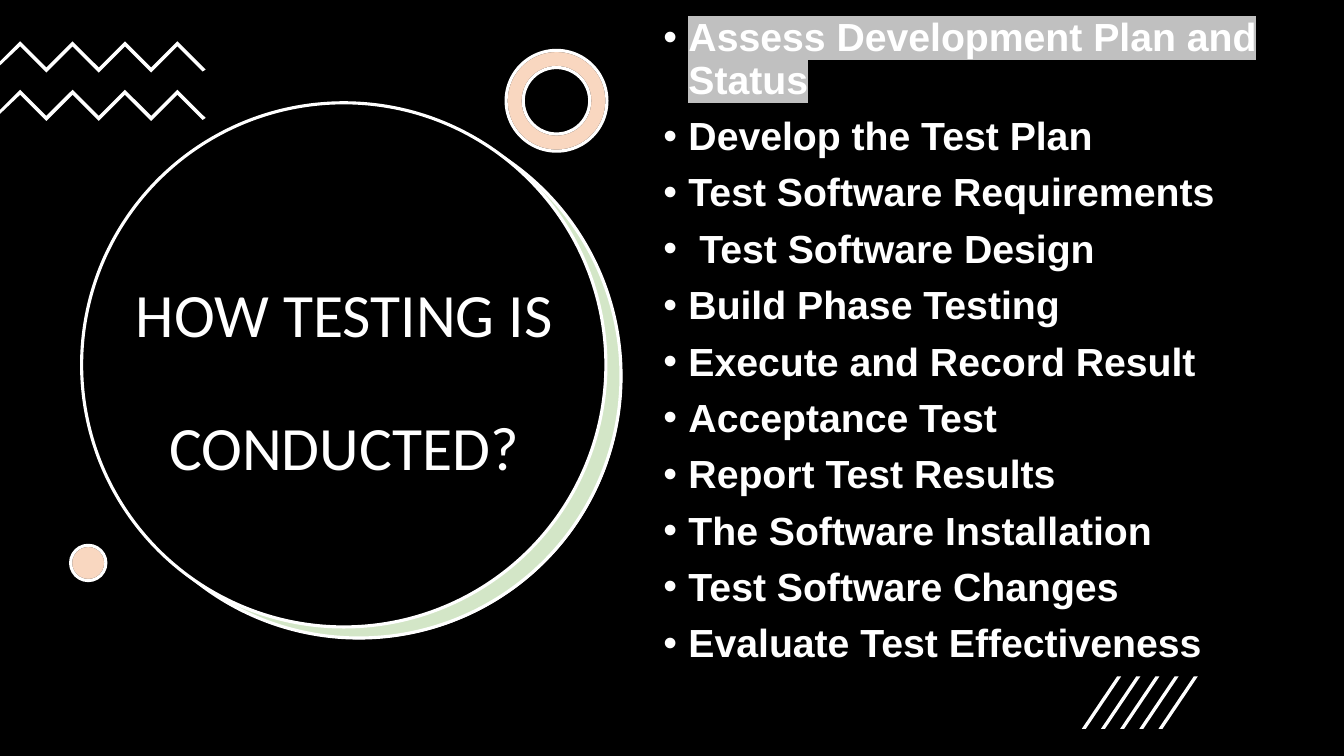
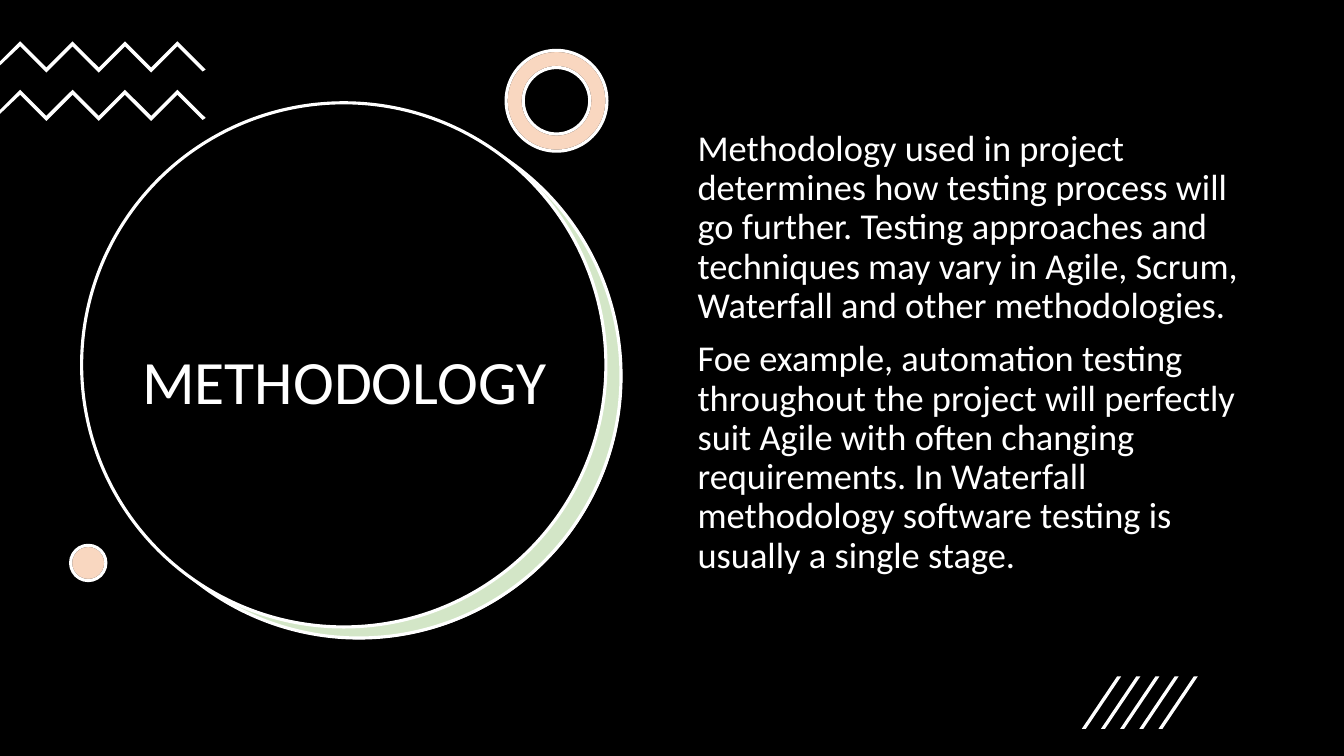
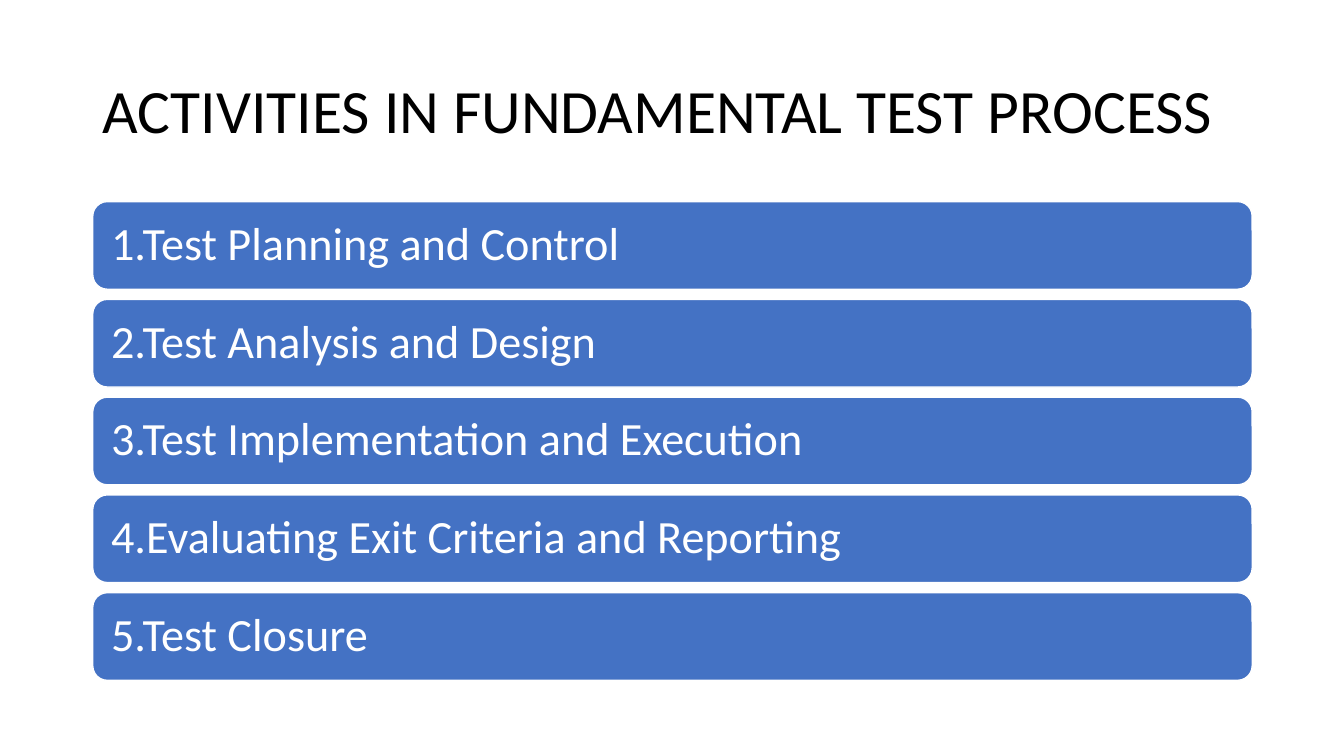
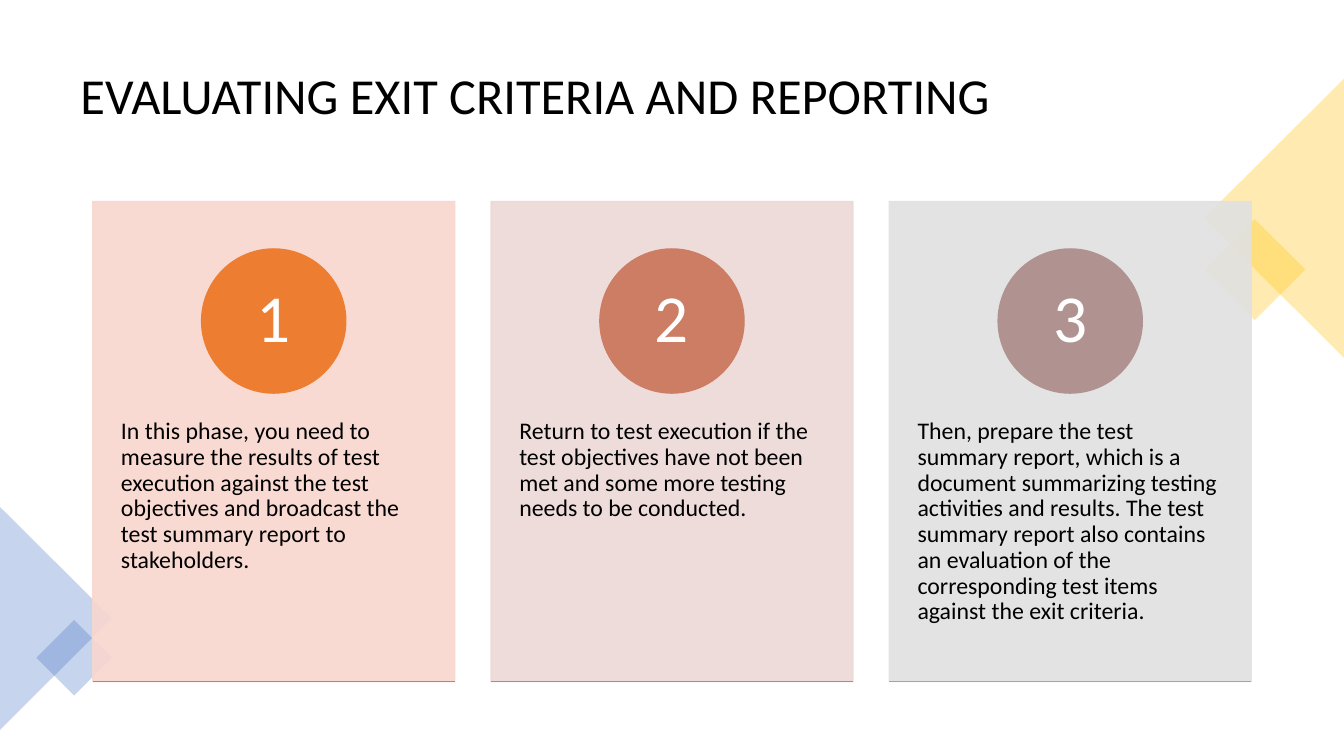
import dataclasses

import lxml.etree
import pptx
import pptx.dml.color
import pptx.enum.shapes
import pptx.enum.text
import pptx.oxml.ns
import pptx.util

Inches = pptx.util.Inches
Pt = pptx.util.Pt
qn = pptx.oxml.ns.qn
Shape = pptx.enum.shapes.MSO_SHAPE
Align = pptx.enum.text.PP_ALIGN
Anchor = pptx.enum.text.MSO_ANCHOR


@dataclasses.dataclass(frozen=True)
class Theme:
    # Colours
    black: str = "000000"
    white: str = "FFFFFF"
    blue: str = "4472C4"
    green: str = "70AD47"
    orange: str = "ED7D31"
    gold: str = "FFC000"
    mark: str = "C0C0C0"
    # Fonts and type sizes
    font: str = "Calibri"
    bold: str = "Arial"
    title: int = 44
    head: int = 36
    list: int = 28
    body: int = 26
    bar: int = 33
    card: int = 17
    count: int = 48
    # Line width and tint strength
    rim: float = 2.25
    tint: int = 30


T = Theme()

STEPS = [
    "Assess Development Plan and Status",
    "Develop the Test Plan",
    "Test Software Requirements",
    " Test Software Design",
    "Build Phase Testing",
    "Execute and Record Result",
    "Acceptance Test",
    "Report Test Results",
    "The Software Installation",
    "Test Software Changes",
    "Evaluate Test Effectiveness",
]

METHOD = [
    "Methodology used in project determines how testing process will go further. "
    "Testing approaches and techniques may vary in Agile, Scrum, Waterfall and "
    "other methodologies.",
    "Foe example, automation testing throughout the project will perfectly suit "
    "Agile with often changing requirements. In Waterfall methodology software "
    "testing is usually a single stage.",
]

BARS = [
    "1.Test Planning and Control",
    "2.Test Analysis and Design",
    "3.Test Implementation and Execution",
    "4.Evaluating Exit Criteria and Reporting",
    "5.Test Closure",
]

# Card fill, disc fill, base line, text
CARDS = [
    ("F8D7CE", "ED7D31", "DC7A4B",
     "In this phase, you need to measure the results of test execution against "
     "the test objectives and broadcast the test summary report to stakeholders."),
    ("EDD9D7", "CC7D64", "BD867B",
     "Return to test execution if the test objectives have not been met and "
     "some more testing needs to be conducted."),
    ("E1E1E1", "B09391", "A5A5A5",
     "Then, prepare the test summary report, which is a document summarizing "
     "testing activities and results. The test summary report also contains an "
     "evaluation of the corresponding test items against the exit criteria."),
]


# Colour and outline
def tone(code):
    return pptx.dml.color.RGBColor.from_string(code)


def fade(node, alpha):
    for color in node.iter(qn("a:srgbClr")):
        lxml.etree.SubElement(color, qn("a:alpha")).set("val", str(alpha * 1000))


def paint(shape, fill, line=None, width=1, alpha=100, edge=100):
    shape.shadow.inherit = False
    shape.fill.solid()
    shape.fill.fore_color.rgb = tone(fill)
    props = shape.element.spPr
    if alpha < 100:
        fade(props.find(qn("a:solidFill")), alpha)
    if line is None:
        shape.line.fill.background()
        return
    shape.line.color.rgb = tone(line)
    shape.line.width = Pt(width)
    if edge < 100:
        fade(props.find(qn("a:ln")), edge)


# Text
def bullet(para):
    props = para._p.get_or_add_pPr()
    props.set("marL", str(Inches(0.25)))
    props.set("indent", str(-Inches(0.25)))
    lxml.etree.SubElement(props, qn("a:buFont")).set("typeface", T.bold)
    lxml.etree.SubElement(props, qn("a:buChar")).set("char", "•")


def shade(run, code):
    mark = lxml.etree.Element(qn("a:highlight"))
    lxml.etree.SubElement(mark, qn("a:srgbClr")).set("val", code)
    run.font.fill._xPr.find(qn("a:solidFill")).addnext(mark)


def write(shape, lines, size, color=T.black, font=T.font, bold=False,
          align=Align.LEFT, anchor=Anchor.TOP, before=0, dots=False,
          inset=(0.1, 0.05, 0.1, 0.05)):
    frame = shape.text_frame
    frame.word_wrap = True
    frame.vertical_anchor = anchor
    (frame.margin_left, frame.margin_top,
     frame.margin_right, frame.margin_bottom) = map(Inches, inset)
    for i, line in enumerate(lines):
        para = frame.add_paragraph() if i else frame.paragraphs[0]
        para.alignment = align
        para.line_spacing = 0.9
        para.space_before = Pt(before if i else 0)
        if dots:
            bullet(para)
        run = para.add_run()
        run.text = line
        run.font.name = font
        run.font.size = Pt(size)
        run.font.bold = bold
        run.font.color.rgb = tone(color)
    return frame


# Shapes
def label(slide, box, lines, size, **form):
    return write(slide.shapes.add_textbox(*map(Inches, box)), lines, size, **form)


def block(slide, kind, box, fill, turn=0, **look):
    shape = slide.shapes.add_shape(kind, *map(Inches, box))
    shape.rotation = turn
    paint(shape, fill, **look)
    return shape


def trace(slide, points, fill):
    start, *rest = [(Inches(x), Inches(y)) for x, y in points]
    pen = slide.shapes.build_freeform(*start)
    pen.add_line_segments(rest, close=True)
    paint(pen.convert_to_shape(), fill)


def rule(slide, left, top, width, color):
    line = slide.shapes.add_connector(
        pptx.enum.shapes.MSO_CONNECTOR.STRAIGHT,
        Inches(left), Inches(top), Inches(left + width), Inches(top))
    line.line.color.rgb = tone(color)
    line.line.width = Pt(1)
    lxml.etree.SubElement(line.element.spPr, qn("a:effectLst"))


# Dark slide parts
def zigzag(slide, top):
    upper = [(0.2 + 0.26 * i, top + 0.26 * (i % 2)) for i in range(7)]
    lower = [(x, y + 0.05) for x, y in reversed(upper)]
    tip = [(2.04, top + 0.28), (2.01, top + 0.3)]
    tail = [(0, top + 0.24), (0, top + 0.2)]
    trace(slide, upper + tip + lower + tail, T.white)


def slashes(slide):
    for i in range(5):
        x = 10.73 + 0.19 * i
        trace(slide, [(x + 0.04, 7.23), (x, 7.23), (x + 0.35, 6.71),
                      (x + 0.39, 6.71)], T.white)


def tinted(slide, kind, box):
    return [
        block(slide, kind, box, T.white, line=T.black, width=T.rim),
        block(slide, kind, box, T.orange, line=T.white, width=T.rim, alpha=T.tint),
    ]


def dark(slide, title):
    slide.background.fill.solid()
    slide.background.fill.fore_color.rgb = tone(T.black)
    # Large disc with its crescent
    block(slide, Shape.OVAL, (0.97, 1.14, 5.2, 5.2), T.white)
    block(slide, Shape.OVAL, (0.96, 1.13, 5.2, 5.2), T.green,
          line=T.white, width=T.rim, alpha=T.tint)
    block(slide, Shape.OVAL, (0.81, 1.02, 5.2, 5.2), T.black,
          line=T.white, width=T.rim)
    label(slide, (1.21, 2.05, 4.41, 3.52), title, T.title, color=T.white,
          align=Align.CENTER, anchor=Anchor.MIDDLE, before=48)
    # Ornaments
    for top in (0.41, 0.89):
        zigzag(slide, top)
    for ring in tinted(slide, Shape.DONUT, (5.02, 0.5, 1, 1)):
        ring.adjustments[0] = 0.17
    tinted(slide, Shape.OVAL, (0.7, 5.41, 0.35, 0.35))
    slashes(slide)


# Slides
def conduct(slide):
    dark(slide, ["HOW TESTING IS", "CONDUCTED?"])
    frame = label(slide, (6.48, 0.13, 6.85, 6.56), STEPS, T.list, color=T.white,
                  font=T.bold, bold=True, before=10, dots=True)
    shade(frame.paragraphs[0].runs[0], T.mark)


def method(slide):
    dark(slide, ["METHODOLOGY"])
    label(slide, (6.82, 1.24, 5.71, 4.76), METHOD, T.body, color=T.white, before=10)


def process(slide):
    label(slide, (0.92, 0.4, 11.5, 1.45), ["ACTIVITIES IN FUNDAMENTAL TEST PROCESS"],
          T.title, anchor=Anchor.MIDDLE)
    for i, text in enumerate(BARS):
        bar = block(slide, Shape.ROUNDED_RECTANGLE, (0.92, 2 + 0.97 * i, 11.5, 0.87),
                    T.blue, line=T.white)
        write(bar, [text], T.bar, color=T.white, anchor=Anchor.MIDDLE,
              inset=(0.14, 0.05, 0.14, 0.05))


def report(slide):
    label(slide, (0.7, 0.35, 11.93, 1.24), ["EVALUATING EXIT CRITERIA AND REPORTING"],
          T.head, anchor=Anchor.MIDDLE)
    # Corner ornaments
    for kind, box, fill, turn in (
        (Shape.RECTANGLE, (12.09, 2.32, 0.71, 0.71), T.gold, 45),
        (Shape.ISOSCELES_TRIANGLE, (11.25, 1.47, 2.77, 1.39), T.gold, 270),
        (Shape.ISOSCELES_TRIANGLE, (-0.55, 5.58, 2.21, 1.11), T.blue, 90),
        (Shape.RECTANGLE, (0.47, 6.26, 0.53, 0.53), T.blue, 45),
    ):
        block(slide, kind, box, fill, turn=turn, alpha=T.tint)
    # Numbered cards
    wide, disc = 3.59, 1.43
    for i, (fill, spot, base, text) in enumerate(CARDS):
        left = 0.92 + 3.95 * i
        card = block(slide, Shape.RECTANGLE, (left, 2, wide, 4.76), fill,
                     line=fill, alpha=90, edge=90)
        write(card, [text], T.card, inset=(0.28, 2.16, 0.28, 0.1))
        badge = block(slide, Shape.OVAL, (left + (wide - disc) / 2, 2.47, disc, disc),
                      spot, line=spot)
        write(badge, [str(i + 1)], T.count, color=T.white, align=Align.CENTER,
              anchor=Anchor.MIDDLE, inset=(0.1, 0, 0.1, 0))
        rule(slide, left, 6.76, wide, base)


def main():
    deck = pptx.Presentation()
    deck.slide_width = Inches(13.33)
    deck.slide_height = Inches(7.5)
    for build in (conduct, method, process, report):
        build(deck.slides.add_slide(deck.slide_layouts[6]))
    deck.save("out.pptx")


if __name__ == "__main__":
    main()
